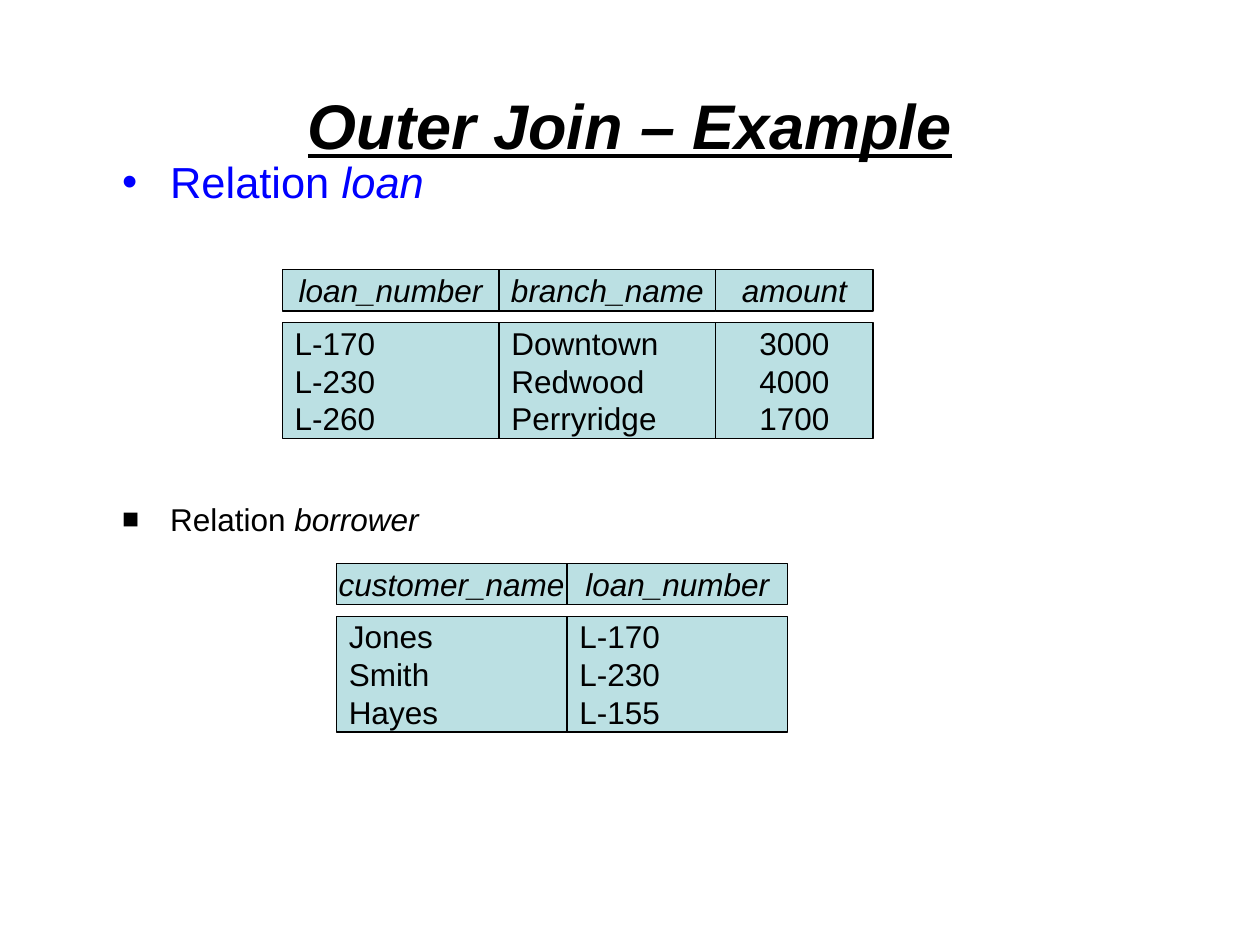
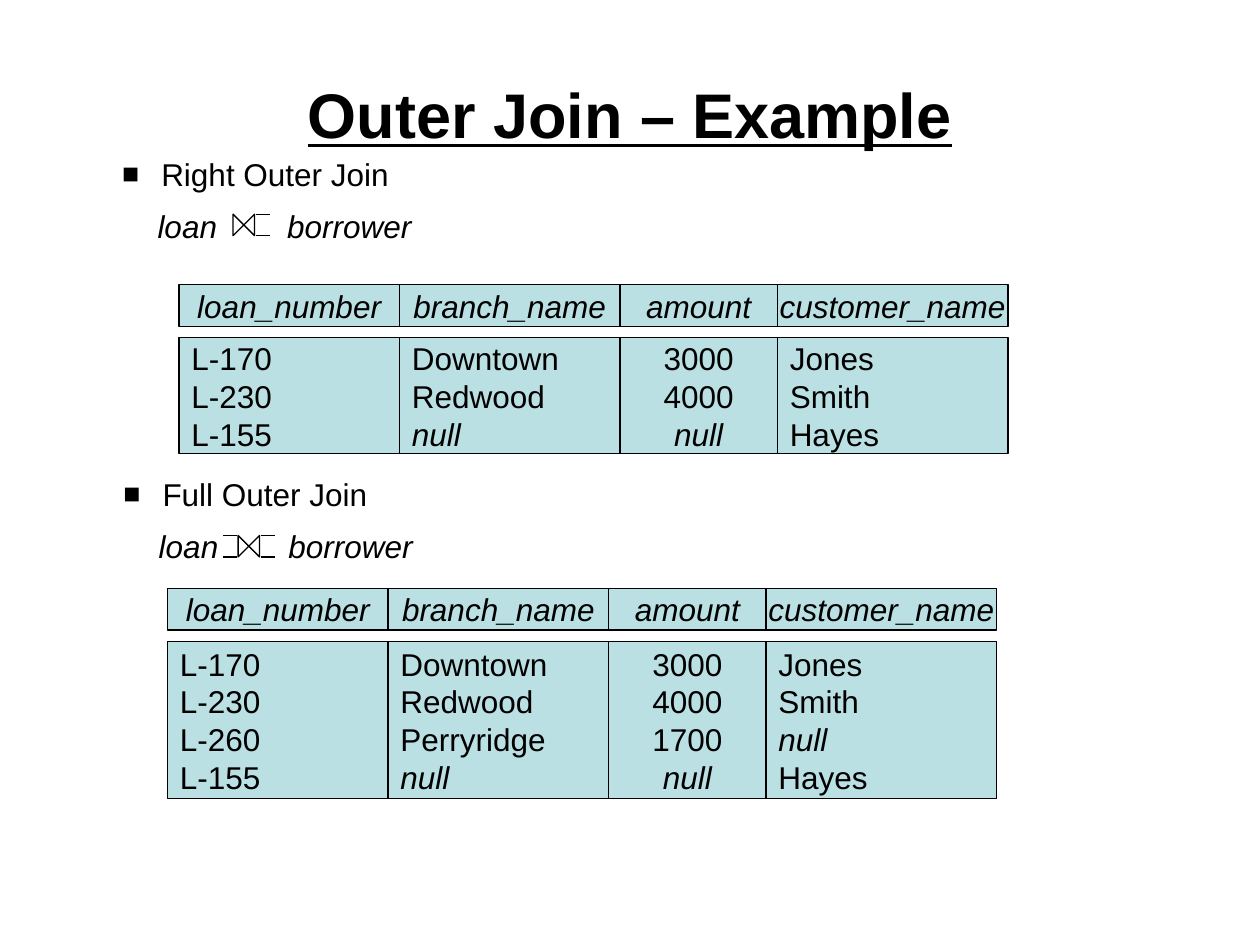
from dataclasses import dataclass

from lxml import etree
from pptx import Presentation
from pptx.dml.color import RGBColor
from pptx.enum import shapes, text
from pptx.oxml import ns
from pptx.util import Inches, Pt


@dataclass(frozen=True)
class Theme:
    font: str = "Arial"
    ink: str = "000000"
    accent: str = "0000FF"
    cell: str = "BBE0E3"
    title: float = 36
    lead: float = 24.8
    body: float = 18
    rule: float = 0.75
    space: float = 7.9
    join_gap: float = 35


THEME = Theme()
TITLE = "Outer Join – Example"
NULL = "null"
COLUMN_WIDTHS = {"loan_number": 1.75, "branch_name": 1.75, "amount": 1.25, "customer_name": 1.83}
CENTRED = {"amount"}
HEADER_HEIGHT, BODY_OFFSET, ROW_HEIGHT, BODY_TRIM = 0.33, 0.42, 0.33, 0.07
BOWTIE, PRONG, PRONG_GAP = 0.17, 0.11, 0.01

SLIDES = [
    {
        "title_box": (0.5, 0.72, 9, 0.53),
        "title_italic": True,
        "topics": [
            {"box": (0.87, 1.18, 7.5, 0.53), "words": ("Relation ", "loan"), "bullet": "•",
             "hang": 0.38, "size": THEME.lead, "color": THEME.accent},
            {"box": (0.87, 3.92, 7.69, 0.53), "words": ("Relation ", "borrower"), "hang": 0.38},
        ],
        "relations": [
            {"at": (2.24, 2.14), "widths": {"loan_number": 1.72, "branch_name": 1.72},
             "columns": {"loan_number": ["L-170", "L-230", "L-260"],
                         "branch_name": ["Downtown", "Redwood", "Perryridge"],
                         "amount": ["3000", "4000", "1700"]}},
            {"at": (2.67, 4.47),
             "columns": {"customer_name": ["Jones", "Smith", "Hayes"],
                         "loan_number": ["L-170", "L-230", "L-155"]}},
        ],
    },
    {
        "title_box": (0.5, 0.55, 9, 0.7),
        "title_italic": False,
        "topics": [
            {"box": (0.87, 1.18, 4.45, 0.81), "words": ("Right Outer Join",),
             "operands": ("loan", "borrower"), "join": (1.85, 1.7), "sides": ("right",)},
            {"box": (0.88, 3.72, 4.45, 0.81), "words": ("Full Outer Join",),
             "operands": ("loan", "borrower"), "join": (1.89, 4.25), "sides": ("left", "right")},
        ],
        "relations": [
            {"at": (1.42, 2.26),
             "columns": {"loan_number": ["L-170", "L-230", "L-155"],
                         "branch_name": ["Downtown", "Redwood", NULL],
                         "amount": ["3000", "4000", NULL],
                         "customer_name": ["Jones", "Smith", "Hayes"]}},
            {"at": (1.33, 4.67),
             "columns": {"loan_number": ["L-170", "L-230", "L-260", "L-155"],
                         "branch_name": ["Downtown", "Redwood", "Perryridge", NULL],
                         "amount": ["3000", "4000", "1700", NULL],
                         "customer_name": ["Jones", "Smith", NULL, "Hayes"]}},
        ],
    },
]


def style(paragraph, size=THEME.body, color=THEME.ink, **flags):
    font = paragraph.font
    font.name, font.size = THEME.font, Pt(size)
    font.color.rgb = RGBColor.from_string(color)
    for flag, value in flags.items():
        setattr(font, flag, value)


def place(holder, box):
    holder.left, holder.top, holder.width, holder.height = map(Inches, box)
    frame = holder.text_frame
    frame.word_wrap = True
    frame.auto_size = text.MSO_AUTO_SIZE.NONE
    return frame


def child(parent, tag, **attributes):
    return etree.SubElement(parent, ns.qn(tag), attributes)


def indent(paragraph, margin, first):
    properties = paragraph._p.get_or_add_pPr()
    properties.set("marL", str(Inches(margin)))
    properties.set("indent", str(Inches(first)))
    return properties


def add_title(slide, box, italic):
    frame = place(slide.shapes.title, box)
    frame.vertical_anchor = text.MSO_ANCHOR.MIDDLE
    frame.text = TITLE
    heading = frame.paragraphs[0]
    heading.alignment = text.PP_ALIGN.CENTER
    style(heading, THEME.title, bold=True, italic=italic, underline=True)


def add_expression(frame, operands):
    expression = frame.add_paragraph()
    child(indent(expression, 0.28, 0), "a:buNone")
    expression.space_before = Pt(THEME.space)
    style(expression, italic=True)
    left_operand, right_operand = operands
    for part in (left_operand, " ", right_operand):
        run = expression.add_run()
        run.text = part
        if part == " ":
            run._r.get_or_add_rPr().set("spc", str(round(THEME.join_gap * 100)))


def add_topic(slide, holder, box, words, bullet="■", hang=0.31, size=THEME.body,
              color=THEME.ink, operands=(), join=None, sides=()):
    frame = place(holder, box)
    lead = frame.paragraphs[0]
    properties = indent(lead, hang, -hang)
    child(child(properties, "a:buClr"), "a:srgbClr", val=color)
    child(properties, "a:buSzPct", val="90000" if bullet == "■" else "100000")
    child(properties, "a:buFont", typeface=THEME.font)
    child(properties, "a:buChar", char=bullet)
    lead.space_before = Pt(0)
    style(lead, size, color)
    for position, word in enumerate(words):
        run = lead.add_run()
        run.text = word
        if position:
            run.font.italic = True
    if operands:
        add_expression(frame, operands)
        add_join(slide, join, sides)


def outline(line):
    line.color.rgb = RGBColor.from_string(THEME.ink)
    line.width = Pt(THEME.rule)


def add_join(slide, at, sides):
    left, top = at
    bowtie = slide.shapes.add_shape(shapes.MSO_SHAPE.FLOWCHART_COLLATE,
                                    *map(Inches, (left, top, BOWTIE, BOWTIE)))
    bowtie.rotation = 270
    bowtie.shadow.inherit = False
    bowtie.fill.background()
    outline(bowtie.line)
    starts = {"left": left - PRONG_GAP - PRONG, "right": left + BOWTIE + PRONG_GAP}
    for side in sides:
        for y in (top, top + BOWTIE):
            prong = slide.shapes.add_connector(
                shapes.MSO_CONNECTOR.STRAIGHT,
                *map(Inches, (starts[side], y, starts[side] + PRONG, y)))
            outline(prong.line)
            child(prong._element.spPr, "a:effectLst")


def add_cell(slide, box, values, centred, italic=False):
    cell = slide.shapes.add_shape(shapes.MSO_SHAPE.RECTANGLE, *map(Inches, box))
    cell.shadow.inherit = False
    cell.fill.solid()
    cell.fill.fore_color.rgb = RGBColor.from_string(THEME.cell)
    outline(cell.line)
    frame = cell.text_frame
    frame.word_wrap = False
    frame.vertical_anchor = text.MSO_ANCHOR.MIDDLE
    frame.text = "\n".join(values)
    for paragraph, value in zip(frame.paragraphs, values):
        paragraph.alignment = text.PP_ALIGN.CENTER if centred else text.PP_ALIGN.LEFT
        style(paragraph, italic=italic or value == NULL)


def add_relation(slide, at, columns, widths=None):
    left, top = at
    for name, values in columns.items():
        width = {**COLUMN_WIDTHS, **(widths or {})}[name]
        height = ROW_HEIGHT * len(values) - BODY_TRIM
        add_cell(slide, (left, top, width, HEADER_HEIGHT), [name], True, italic=True)
        add_cell(slide, (left, top + BODY_OFFSET, width, height), values, name in CENTRED)
        left += width


def main():
    deck = Presentation()
    deck.slide_width, deck.slide_height = Inches(10), Inches(7.5)
    two_content = deck.slide_layouts[3]
    for content in SLIDES:
        slide = deck.slides.add_slide(two_content)
        add_title(slide, content["title_box"], content["title_italic"])
        for position, topic in enumerate(content["topics"], start=1):
            add_topic(slide, slide.placeholders[position], **topic)
        for relation in content["relations"]:
            add_relation(slide, **relation)
    deck.save("out.pptx")


if __name__ == "__main__":
    main()
